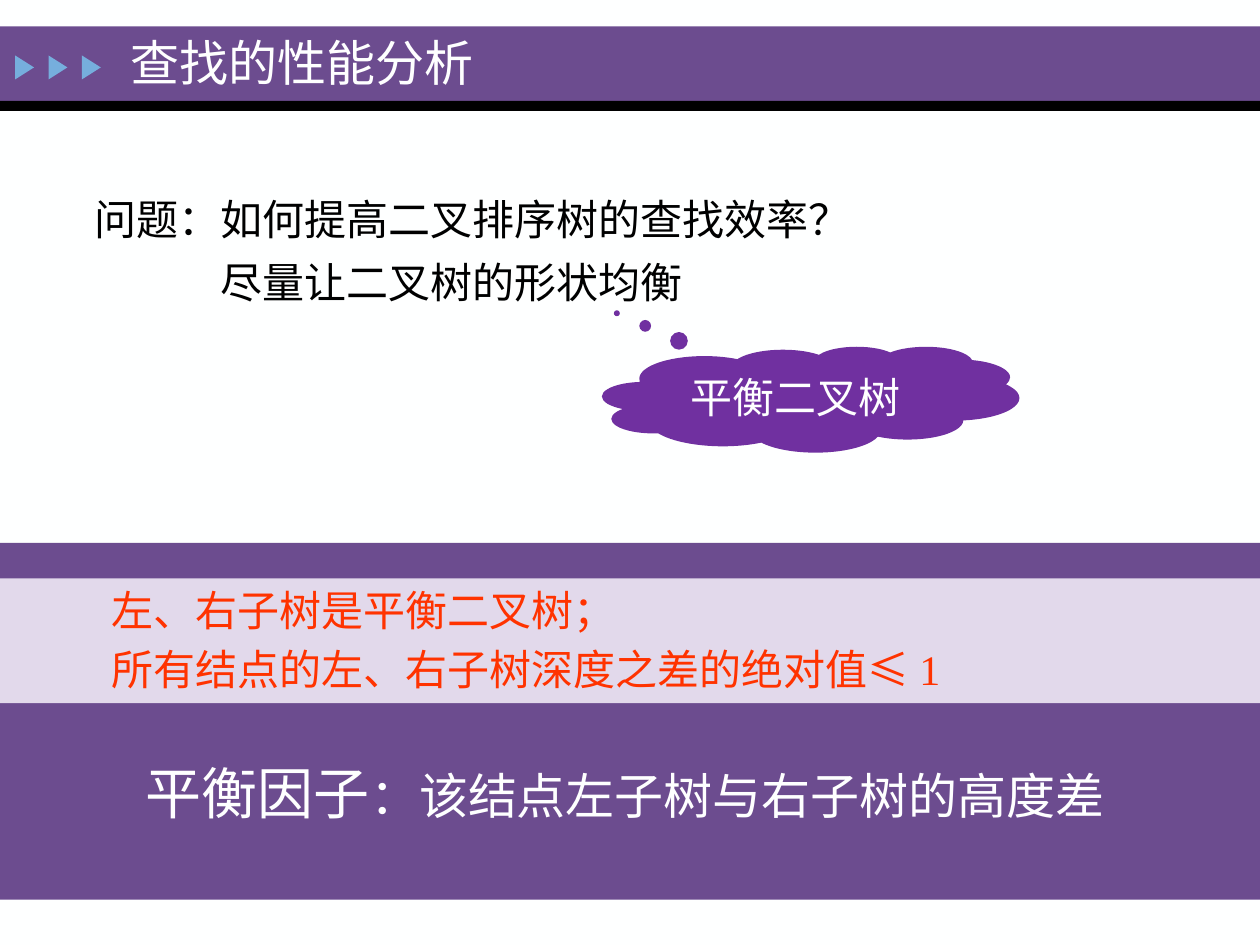
from dataclasses import dataclass
from pptx import Presentation
from pptx import util as u
from pptx.dml.color import RGBColor
from pptx.enum import shapes, text

COLS, ROWS = 100, 75


@dataclass(frozen=True)
class Theme:
    font: str = "Times New Roman"
    paper: str = "FEFFFF"
    ink: str = "000000"
    band: str = "6C4C8F"
    arrow: str = "76AEDD"
    pale: str = "E2D9EB"
    cloud: str = "7030A0"
    alert: str = "FF3300"
    body: int = 24
    title: int = 28
    term: int = 32


@dataclass(frozen=True)
class Box:
    x: float
    y: float
    w: float
    h: float

    def inner(self, x, y, w, h):
        return Box(self.x + x, self.y + y, w, h)

    def emu(self, prs):
        col, row = prs.slide_width / COLS, prs.slide_height / ROWS
        return [round(n) for n in (self.x * col, self.y * row, self.w * col, self.h * row)]


T = Theme()
KIND = shapes.MSO_SHAPE


def add_block(prs, s, box, color, kind=KIND.RECTANGLE):
    sp = s.shapes.add_shape(kind, *box.emu(prs))
    sp.shadow.inherit = False
    sp.fill.solid()
    sp.fill.fore_color.rgb = RGBColor.from_string(color)
    sp.line.fill.background()
    return sp


def add_label(prs, s, box):
    return s.shapes.add_textbox(*box.emu(prs))


def write(sp, paragraphs, color, size=T.body, align=text.PP_ALIGN.LEFT,
          anchor=text.MSO_ANCHOR.TOP, wrap=True, spacing=None, before=0, margins=(0,), hang=0):
    tf = sp.text_frame
    tf.word_wrap = wrap
    tf.vertical_anchor = anchor
    for i, runs in enumerate(paragraphs):
        p = tf.add_paragraph() if i else tf.paragraphs[0]
        p.alignment = align
        if spacing:
            p.line_spacing = spacing
        if i and before:
            p.space_before = u.Pt(before)
        pPr = p._p.get_or_add_pPr()
        pPr.set("marL", str(u.Inches(margins[i % len(margins)])))
        pPr.set("indent", str(u.Inches(-hang)))
        for words, run_size in [(runs, size)] if isinstance(runs, str) else runs:
            r = p.add_run()
            r.text = words
            r.font.name = T.font
            r.font.size = u.Pt(run_size)
            r.font.color.rgb = RGBColor.from_string(color)


def header(prs, s, box):
    add_block(prs, s, box.inner(0, 0, box.w, 5.9), T.band)
    add_block(prs, s, box.inner(0, 5.9, box.w, 0.8), T.ink)
    for i in range(3):
        sp = add_block(prs, s, box.inner(1 + 2.65 * i, 2.5, 1.9, 1.5), T.arrow,
                       KIND.ISOSCELES_TRIANGLE)
        sp.rotation = 90
    write(add_label(prs, s, box.inner(9.4, 0, 59, 5.6)), ["查找的性能分析"], T.paper,
          size=T.title, anchor=text.MSO_ANCHOR.MIDDLE)


def question(prs, s, box):
    write(add_label(prs, s, box.inner(0, 0, box.w, 10.6)),
          ["问题：如何提高二叉排序树的查找效率？", "尽量让二叉树的形状均衡"],
          T.ink, spacing=1.25, margins=(0, 1))
    sp = add_block(prs, s, box.inner(41.3, 13.6, 33.1, 8.4), T.cloud, KIND.CLOUD_CALLOUT)
    sp.adjustments[0], sp.adjustments[1] = -0.465, -0.814
    write(sp, ["平衡二叉树"], T.paper, align=text.PP_ALIGN.CENTER,
          anchor=text.MSO_ANCHOR.MIDDLE, margins=(0.38,), hang=0.38)


def definition(prs, s, box):
    add_block(prs, s, box, T.band)
    sp = add_block(prs, s, box.inner(0, 2.8, box.w, 9.9), T.pale)
    write(sp, ["左、右子树是平衡二叉树；", "所有结点的左、右子树深度之差的绝对值≤ 1"],
          T.alert, before=4.8, margins=(0.79,))
    write(add_label(prs, s, box.inner(10.6, 16.6, 78.9, 6.4)),
          [[("平衡因子", T.term), ("：该结点左子树与右子树的高度差", T.title)]],
          T.paper, wrap=False)


def main():
    prs = Presentation()
    prs.slide_width, prs.slide_height = u.Inches(10), u.Inches(7.5)
    s = prs.slides.add_slide(prs.slide_layouts[6])
    s.background.fill.solid()
    s.background.fill.fore_color.rgb = RGBColor.from_string(T.paper)
    header(prs, s, Box(0, 2.1, COLS, 6.7))
    question(prs, s, Box(6.5, 13.9, 88.2, 22))
    definition(prs, s, Box(0, 43.1, COLS, 28.3))
    prs.save("out.pptx")


if __name__ == "__main__":
    main()
